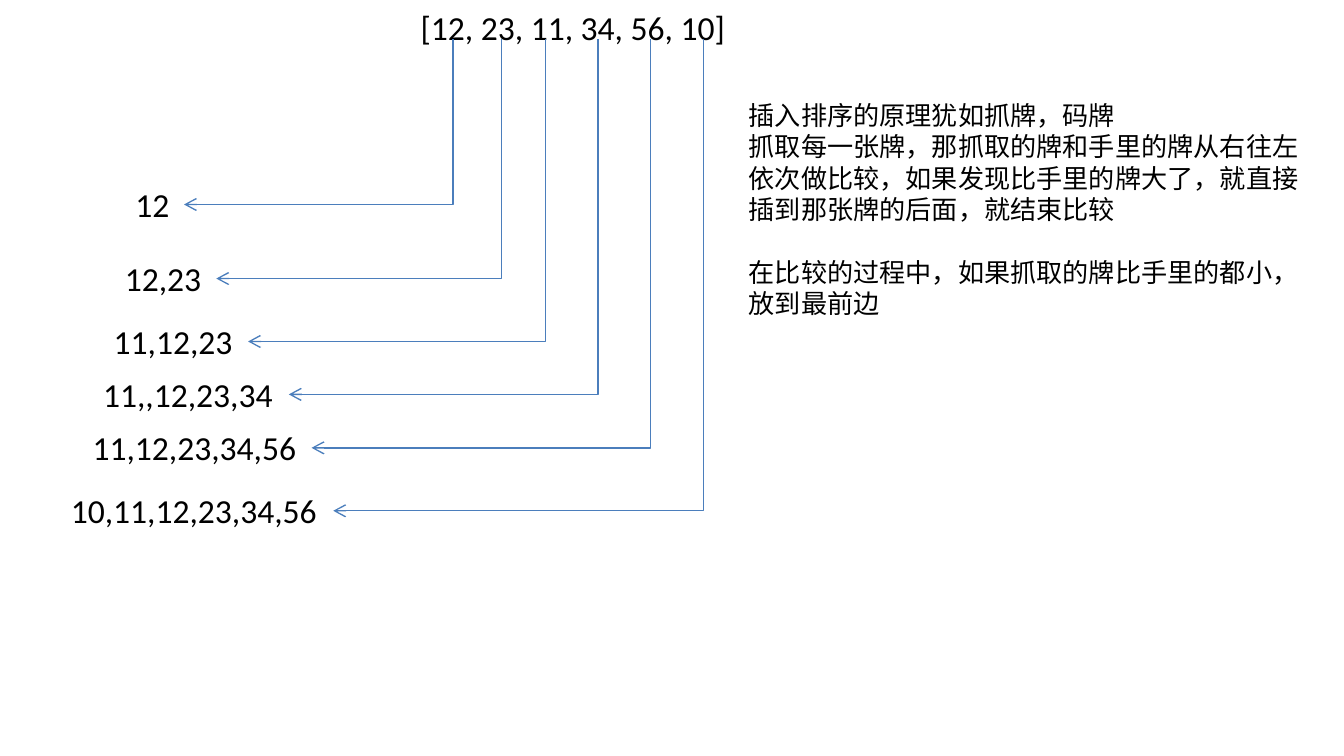
from lxml.etree import SubElement
from pptx import Presentation
from pptx.dml.color import RGBColor
from pptx.enum.shapes import MSO_CONNECTOR
from pptx.enum.text import MSO_AUTO_SIZE
from pptx.oxml.ns import qn
from pptx.util import Cm, Pt

BLACK = RGBColor(0x00, 0x00, 0x00)
BLUE = RGBColor(0x4B, 0x7E, 0xBC)
FONT = "Calibri"
LINE_HEIGHT = 1.03
ARROW_TOP = 0.74

NUMBERS = "[12, 23, 11, 34, 56, 10]"
EXPLANATION = [
    "插入排序的原理犹如抓牌，码牌",
    "抓取每一张牌，那抓取的牌和手里的牌从右往左依次做比较，如果发现比手里的牌大了，就直接插到那张牌的后面，就结束比较",
    "在比较的过程中，如果抓取的牌比手里的都小，放到最前边",
]
# Sorted hand, left, top, width, and x of the number picked up (cm)
STEPS = [
    ("12", 2.31, 3.35, 1.17, 8.56),
    ("12,23", 2.11, 4.75, 1.98, 9.48),
    ("11,12,23", 1.9, 5.94, 2.79, 10.31),
    ("11,,12,23,34", 1.7, 6.94, 3.76, 11.3),
    ("11,12,23,34,56", 1.5, 7.95, 4.39, 12.3),
    ("10,11,12,23,34,56", 1.09, 9.14, 5.21, 13.3),
]


def add_text(page, lines, left, top, width, height, size, wrap=False):
    """Place one paragraph per line in a text box and return its frame."""
    box = page.shapes.add_textbox(Cm(left), Cm(top), Cm(width), Cm(height))
    frame = box.text_frame
    frame.word_wrap = wrap
    frame.auto_size = MSO_AUTO_SIZE.SHAPE_TO_FIT_TEXT
    frame.text = "\n".join(lines)
    for para in frame.paragraphs:
        for span in para.runs:
            span.font.name = FONT
            span.font.size = Pt(size)
            span.font.color.rgb = BLACK
    return frame


def add_elbow_arrow(page, start_x, start_y, end_x, end_y):
    """Draw an arrow that runs straight down, then left to its head."""
    arrow = page.shapes.add_connector(
        MSO_CONNECTOR.ELBOW, Cm(start_x), Cm(start_y), Cm(end_x), Cm(end_y))
    arrow.line.color.rgb = BLUE
    arrow.line.width = Pt(0.75)
    properties = arrow.element.spPr
    SubElement(arrow.line._get_or_add_ln(), qn("a:tailEnd"), type="arrow")
    SubElement(properties, qn("a:effectLst"))
    # A bend next to the start makes the first leg vertical
    adjustments = properties.find(qn("a:prstGeom")).get_or_add_avLst()
    SubElement(adjustments, qn("a:gd"), name="adj1", fmla="val 10")


def add_step(page, hand, left, top, width, number_x):
    """Show the sorted hand and the arrow from the number just picked up."""
    add_text(page, [hand], left, top, width, LINE_HEIGHT, 18)
    add_elbow_arrow(page, number_x, ARROW_TOP,
                    left + width, top + LINE_HEIGHT / 2)


def add_explanation(page, left, top, width, height):
    """Explain insertion sort, with a one-line gap before the last point."""
    frame = add_text(page, EXPLANATION, left, top, width, height, 14, wrap=True)
    frame.paragraphs[-1].space_before = Pt(17)


def build_slide(deck):
    """Build the insertion sort slide."""
    page = deck.slides.add_slide(deck.slide_layouts[6])
    add_text(page, [NUMBERS], 7.7, 0, 6.36, LINE_HEIGHT, 18)
    add_explanation(page, 13.9, 1.75, 11, 4.44)
    for step in STEPS:
        add_step(page, *step)


deck = Presentation()
deck.slide_width = Cm(25.4)
deck.slide_height = Cm(14.29)
build_slide(deck)
deck.save("out.pptx")
